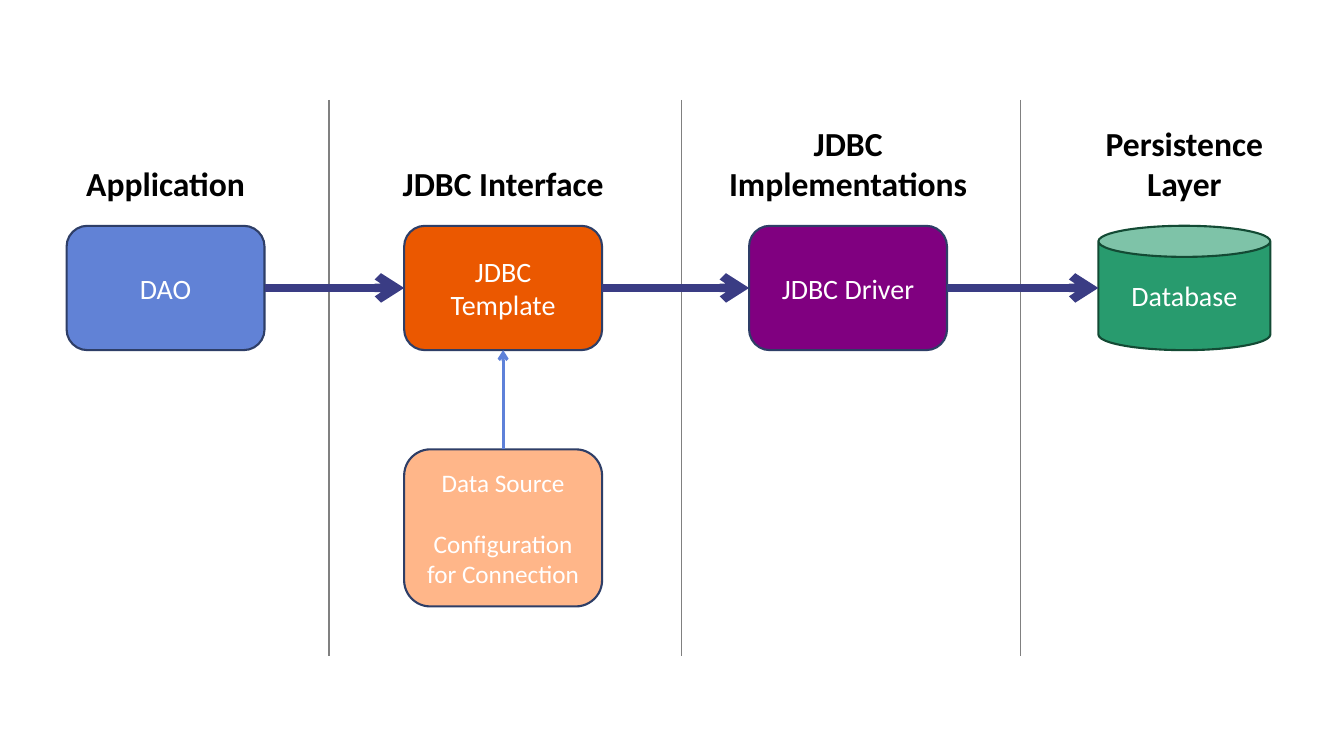
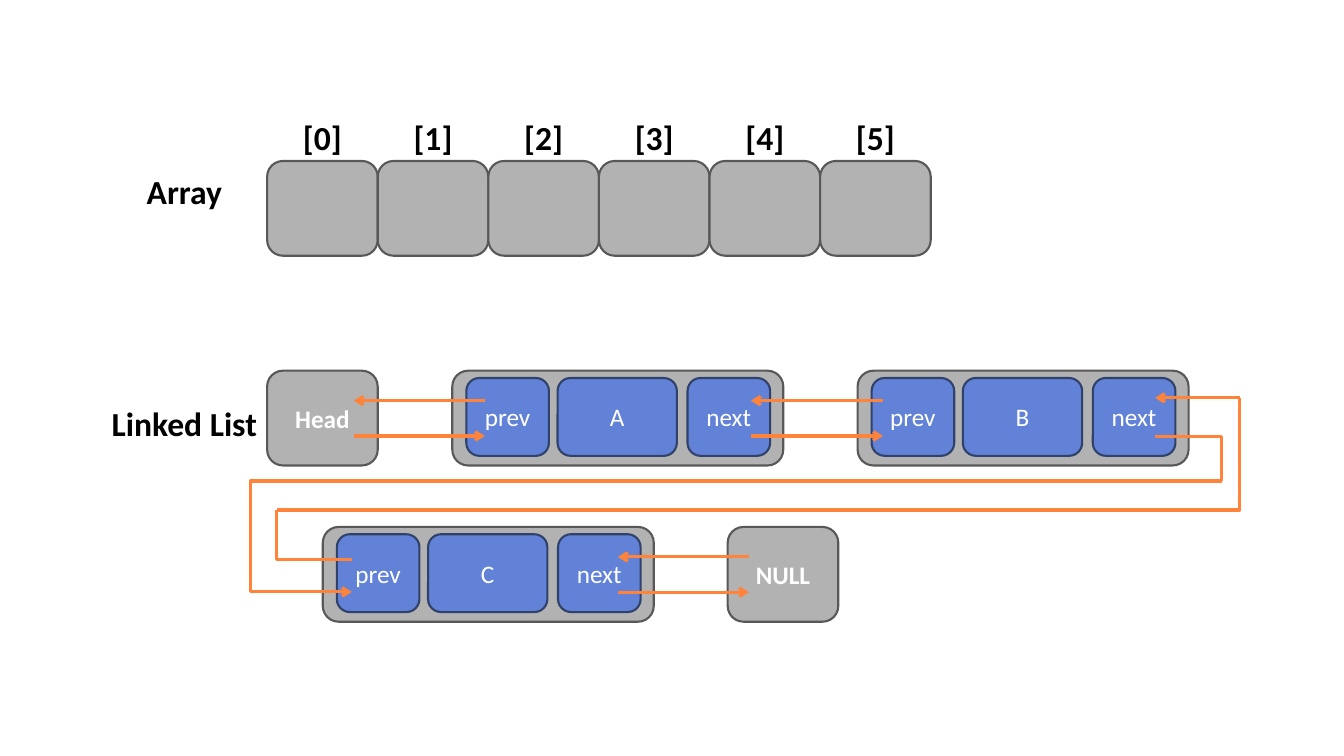
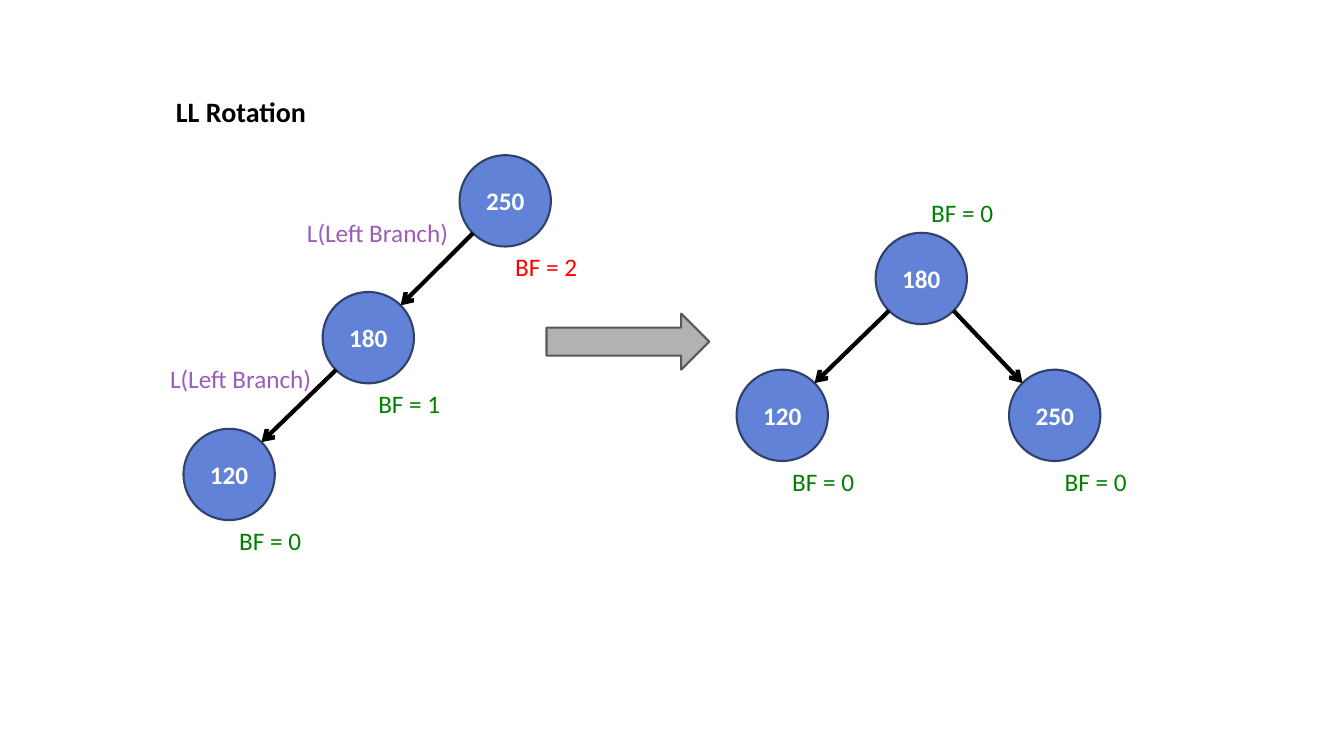
from dataclasses import dataclass
from itertools import pairwise
from math import sqrt

from lxml.etree import SubElement
from pptx import Presentation
from pptx.dml.color import RGBColor
from pptx.enum.shapes import MSO_CONNECTOR, MSO_SHAPE
from pptx.enum.text import MSO_ANCHOR, PP_ALIGN
from pptx.oxml.ns import qn
from pptx.util import Pt


@dataclass(frozen=True)
class Theme:
    font: str = "Calibri"
    heading: int = 24
    title: int = 20
    body: int = 18
    outline: float = 1.5
    black: str = "000000"
    white: str = "FFFFFF"
    blue: str = "6182D6"
    navy: str = "30416A"
    gray: str = "B2B2B2"
    dark_gray: str = "585858"
    divider: str = "808080"
    box_outline: str = "2E3E67"
    flow_arrow: str = "3A3C84"
    source_arrow: str = "5E81D9"
    link: str = "FF843A"
    orange: str = "EB5800"
    peach: str = "FFB689"
    purple: str = "800080"
    teal: str = "289B6E"
    dark_teal: str = "134A34"
    branch: str = "9D5CBB"
    balanced: str = "008000"
    unbalanced: str = "FF0000"


THEME = Theme()
NODE_SHAPE = MSO_SHAPE.FLOWCHART_ALTERNATE_PROCESS

# Layers: heading, heading width, box text, centre, box width, shape, fill, outline
LAYERS = [
    ("Application", 184, "DAO", 118.3, 141.4, MSO_SHAPE.ROUNDED_RECTANGLE, THEME.blue, THEME.box_outline),
    ("JDBC Interface", 184, "JDBC Template", 359.4, 141.4, MSO_SHAPE.ROUNDED_RECTANGLE, THEME.orange, THEME.box_outline),
    ("JDBC Implementations", 195, "JDBC Driver", 605.8, 141.4, MSO_SHAPE.ROUNDED_RECTANGLE, THEME.purple, THEME.box_outline),
    ("Persistence Layer", 180, "Database", 846, 122.8, MSO_SHAPE.CAN, THEME.teal, THEME.dark_teal),
]
DIVIDERS = [234.9, 487, 728.8]
DATA_SOURCE = ["Data Source", "Configuration", "for Connection"]

# Linked list: letter, left, top
ROW_TOPS = (264.8, 376.4)
LIST_NODES = [("A", 323.1, ROW_TOPS[0]), ("B", 612.6, ROW_TOPS[0]), ("C", 230.6, ROW_TOPS[1])]
END_NODES = [("Head", 190.8, ROW_TOPS[0]), ("NULL", 519.8, ROW_TOPS[1])]
NODE_PARTS = [("prev", 10, 59), (None, 75.2, 85.2), ("next", 168, 59)]
STRAIGHT_LINKS = [
    (252.7, 346.3, ROW_TOPS[0]),
    (536.4, 630.7, ROW_TOPS[0]),
    (441.4, 535, ROW_TOPS[1]),
]
# Wrapped links: corner points of the elbows, position of each bend, arrow
WRAPPED_LINKS = [
    ([(885.6, 284.2), (197.6, 364.3), (251.3, 399.6)], 0, [(885.6, 284.2), (825.1, 284.2)]),
    ([(825.1, 311.6), (872.6, 343.6), (178.9, 422.8)], 1, [(178.9, 422.8), (251.3, 422.8)]),
]

# Trees: name -> value, left, top, balance factor, its colour, label above the node
DIAMETER = 65.2
TREES = [
    {
        "root": ("250", 328.3, 110.9, "BF = 2", THEME.unbalanced, False),
        "middle": ("180", 230.5, 208.6, "BF = 1", THEME.balanced, False),
        "leaf": ("120", 131.1, 306.3, "BF = 0", THEME.balanced, False),
    },
    {
        "root": ("180", 625.5, 166.3, "BF = 0", THEME.balanced, True),
        "left": ("120", 526.2, 264.1, "BF = 0", THEME.balanced, False),
        "right": ("250", 720.8, 264.1, "BF = 0", THEME.balanced, False),
    },
]
TREE_EDGES = [
    [("root", "middle"), ("middle", "leaf")],
    [("root", "left"), ("root", "right")],
]
BRANCH_LABELS = [(212.2, 151.9), (114.4, 255.9)]


def color(value):
    return RGBColor.from_string(value)


def write_text(shape, text, size=THEME.body, fill=THEME.white, bold=False,
               align=PP_ALIGN.CENTER, anchor=MSO_ANCHOR.MIDDLE, wrap=True, gap=0):
    """Write a string or a list of paragraphs; gap follows the first paragraph."""
    frame = shape.text_frame
    frame.word_wrap = wrap
    frame.vertical_anchor = anchor
    lines = [text] if isinstance(text, str) else text
    for index, line in enumerate(lines):
        paragraph = frame.add_paragraph() if index else frame.paragraphs[0]
        paragraph.alignment = align
        if gap and index == 0:
            paragraph.space_after = Pt(gap)
        run = paragraph.add_run()
        run.text = line
        run.font.name = THEME.font
        run.font.size = Pt(size)
        run.font.bold = bold
        run.font.color.rgb = color(fill)


def add_label(slide, text, left, top, width, height, **text_format):
    box = slide.shapes.add_textbox(Pt(left), Pt(top), Pt(width), Pt(height))
    write_text(box, text, **{"anchor": MSO_ANCHOR.TOP, "fill": THEME.black, **text_format})


def add_box(shapes, kind, left, top, width, height, fill, outline, text=None, **text_format):
    shape = shapes.add_shape(kind, Pt(left), Pt(top), Pt(width), Pt(height))
    shape.shadow.inherit = False
    shape.fill.solid()
    shape.fill.fore_color.rgb = color(fill)
    shape.line.color.rgb = color(outline)
    shape.line.width = Pt(THEME.outline)
    if text:
        write_text(shape, text, **text_format)


def add_line(slide, start, end, line_color, width, arrow=False, bend=None):
    """Draw a straight line, or an elbow whose bend lies at a fraction of its width."""
    kind = MSO_CONNECTOR.STRAIGHT if bend is None else MSO_CONNECTOR.ELBOW
    connector = slide.shapes.add_connector(kind, *(Pt(value) for value in (*start, *end)))
    connector.line.color.rgb = color(line_color)
    connector.line.width = Pt(width)
    properties = connector._element.spPr
    if arrow:
        SubElement(properties.find(qn("a:ln")), qn("a:tailEnd"), type="arrow")
    if bend is not None:
        geometry = properties.find(qn("a:prstGeom"))
        guides = geometry.find(qn("a:avLst"))
        if guides is None:
            guides = SubElement(geometry, qn("a:avLst"))
        SubElement(guides, qn("a:gd"), name="adj1", fmla=f"val {round(bend * 100000)}")
    SubElement(properties, qn("a:effectLst"))


def build_layers(slide):
    top, height, source_top, source_height = 161.3, 88.8, 321, 112.2
    middle = top + height / 2
    for x in DIVIDERS:
        add_line(slide, (x, 71.4), (x, 468.6), THEME.divider, 1)
    for heading, heading_width, text, center, width, kind, fill, outline in LAYERS:
        add_label(slide, heading, center - heading_width / 2, 84.2, heading_width, 64.8,
                  size=THEME.heading, bold=True, anchor=MSO_ANCHOR.BOTTOM)
        add_box(slide.shapes, kind, center - width / 2, top, width, height, fill, outline,
                text, size=THEME.title)
    spans = [(center - width / 2, center + width / 2) for _, _, _, center, width, *_ in LAYERS]
    for (_, start), (end, _) in pairwise(spans):
        add_line(slide, (start, middle), (end, middle), THEME.flow_arrow, 6, arrow=True)
    _, _, _, center, width, kind, _, outline = LAYERS[1]
    add_box(slide.shapes, kind, center - width / 2, source_top, width, source_height,
            THEME.peach, outline, DATA_SOURCE, gap=22)
    add_line(slide, (center, source_top), (center, top + height), THEME.source_arrow, 2.25, arrow=True)


def build_lists(slide):
    cell_left, cell_top, cell_width, cell_height = 190.8, 115, 79, 67.7
    node_width = 236.4
    heading = {"size": THEME.heading, "bold": True}
    gray_box = {"fill": THEME.gray, "outline": THEME.dark_gray}
    link = {"line_color": THEME.link, "width": 2.25}
    for text, top in (("Array", 118.8), ("Linked List", 284.4)):
        add_label(slide, text, 72.7, top, 118, 35.4, **heading)
    for index in range(6):
        left = cell_left + index * cell_width
        add_box(slide.shapes, NODE_SHAPE, left, cell_top, cell_width, cell_height, **gray_box)
        add_label(slide, f"[{index}]", left, 79.9, cell_width, 35.4, **heading)
    for text, left, top in END_NODES:
        add_box(slide.shapes, NODE_SHAPE, left, top, cell_width, cell_height,
                **gray_box, text=text, bold=True)
    for letter, left, top in LIST_NODES:
        node = slide.shapes.add_group_shape().shapes
        add_box(node, NODE_SHAPE, left, top, node_width, cell_height, **gray_box)
        for text, offset, width in NODE_PARTS:
            add_box(node, NODE_SHAPE, left + offset, top + 5.2, width, 55.6,
                    THEME.blue, THEME.navy, text or letter)
    for start, end, top in STRAIGHT_LINKS:
        add_line(slide, (start, top + 46.6), (end, top + 46.6), arrow=True, **link)
        add_line(slide, (end, top + 21.4), (start, top + 21.4), arrow=True, **link)
    for corners, bend, arrow_ends in WRAPPED_LINKS:
        for start, end in pairwise(corners):
            add_line(slide, start, end, bend=bend, **link)
        add_line(slide, *arrow_ends, arrow=True, **link)


def build_rotation(slide):
    radius = DIAMETER / 2
    diagonal = radius / sqrt(2)
    label = {"align": PP_ALIGN.LEFT, "wrap": False}
    add_label(slide, "LL Rotation", 118.6, 64.3, 108, 31, size=THEME.title, bold=True, **label)
    for tree, edges in zip(TREES, TREE_EDGES):
        for value, left, top, balance, balance_color, above in tree.values():
            add_box(slide.shapes, MSO_SHAPE.OVAL, left, top, DIAMETER, DIAMETER,
                    THEME.blue, THEME.navy, value, bold=True)
            label_top = top - 28.8 if above else top + DIAMETER
            add_label(slide, balance, left + radius, label_top, 59, 28.8, fill=balance_color, **label)
        for parent, child in edges:
            (_, x1, y1, *_), (_, x2, y2, *_) = tree[parent], tree[child]
            side = diagonal if x2 > x1 else -diagonal
            add_line(slide, (x1 + radius + side, y1 + radius + diagonal),
                     (x2 + radius - side, y2 + radius - diagonal), THEME.black, 3, arrow=True)
    for left, top in BRANCH_LABELS:
        add_label(slide, "L(Left Branch)", left, top, 116.4, 28.8, fill=THEME.branch, **label)
    add_box(slide.shapes, MSO_SHAPE.RIGHT_ARROW, 390.4, 224, 116.2, 40, THEME.gray, THEME.dark_gray)


def main():
    presentation = Presentation()
    presentation.slide_width = Pt(960)
    presentation.slide_height = Pt(540)
    for build in (build_layers, build_lists, build_rotation):
        build(presentation.slides.add_slide(presentation.slide_layouts[6]))
    presentation.save("out.pptx")


if __name__ == "__main__":
    main()
